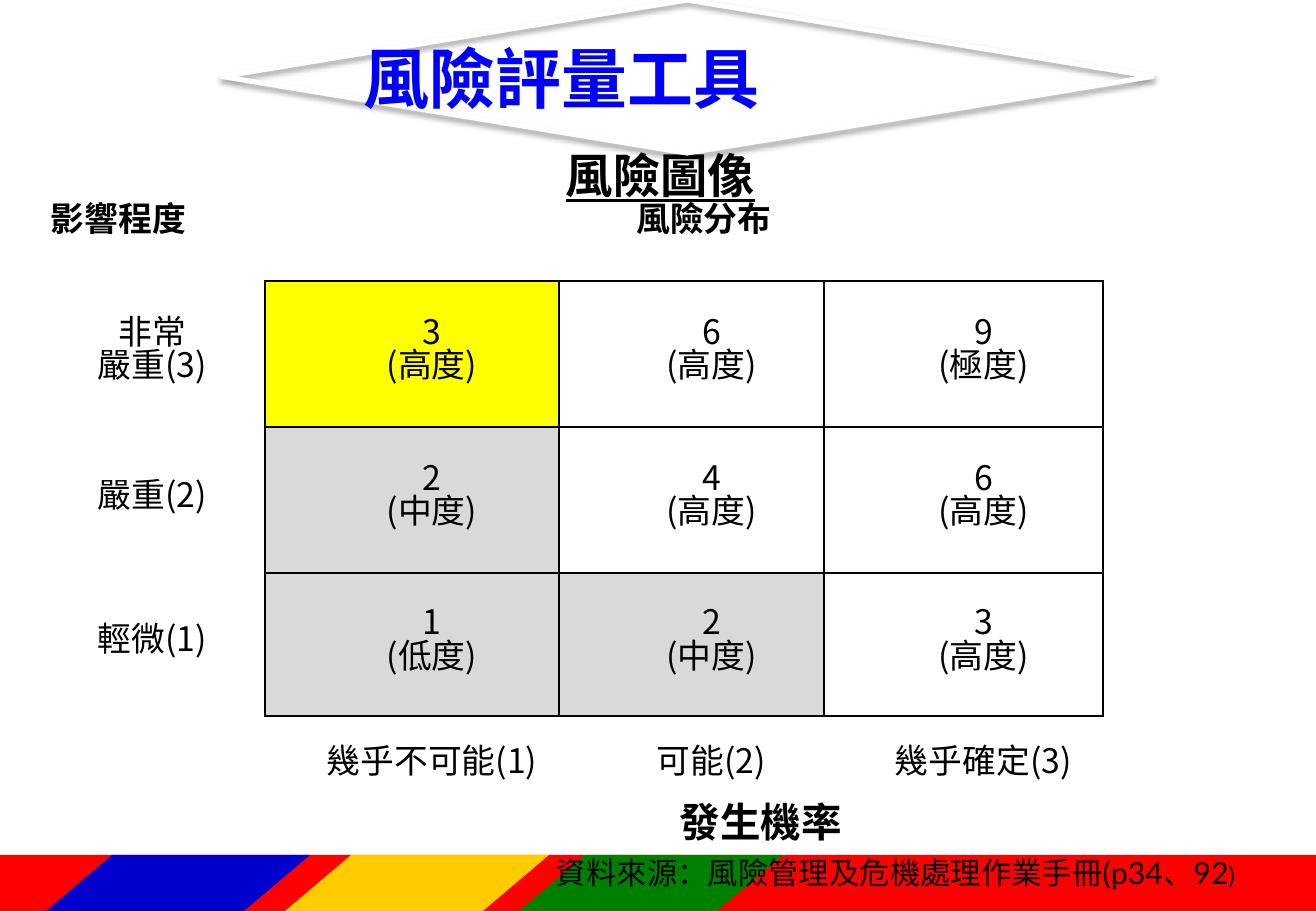
from lxml.etree import SubElement
from pptx import Presentation
from pptx.dml.color import RGBColor
from pptx.enum.shapes import MSO_SHAPE
from pptx.enum.text import MSO_ANCHOR, MSO_AUTO_SIZE, PP_ALIGN
from pptx.oxml.ns import qn
from pptx.util import Pt

SCALE = 914400 / 121.5
CJK = "Noto Sans CJK SC"
LATIN = "Lato"
PLAIN = "{2D5ABB26-0587-4C30-8999-92F81FD0307C}"
COLORS = {
    "black": "000000", "white": "FFFFFF", "title": "0000FF", "red": "FF0000",
    "gold": "FFCC00", "green": "008000", "blue": "0000CC",
    "yellow": "FFFF00", "gray": "D9D9D9",
}
COLS = [265, 294, 265, 279]
ROWS = [74, 146, 146, 143, 146]
IMPACT = [["非常", "嚴重(3)"], ["嚴重(2)"], ["輕微(1)"]]
CHANCE = ["幾乎不可能(1)", "可能(2)", "幾乎確定(3)"]
RISKS = [
    [("3", "高度", "yellow"), ("6", "高度", None), ("9", "極度", None)],
    [("2", "中度", "gray"), ("4", "高度", None), ("6", "高度", None)],
    [("1", "低度", "gray"), ("2", "中度", "gray"), ("3", "高度", None)],
]


def px(n):
    return round(n * SCALE)


def rgb(name):
    return RGBColor.from_string(COLORS[name])


def write(frame, lines, size=20, color="black", bold=False, line=False,
          align=PP_ALIGN.LEFT, space=None, indent=0):
    """Fill a text frame; each line is a string or a list of (text, font, size)."""
    for i, parts in enumerate(lines):
        para = frame.paragraphs[0] if i == 0 else frame.add_paragraph()
        para.alignment = align
        if space:
            para.line_spacing = space
        if indent:
            props = para._p.get_or_add_pPr()
            props.set("marL", str(px(indent)))
            props.set("indent", "0")
        if isinstance(parts, str):
            parts = [(parts, CJK, size)]
        for text, face, points in parts:
            run = para.add_run()
            run.text = text
            font = run.font
            font.name, font.size = face, Pt(points)
            font.bold, font.underline = bold, line
            font.color.rgb = rgb(color)
            SubElement(run._r.get_or_add_rPr(), qn("a:ea"), typeface=face)


def add_text(slide, box, lines, wrap=True, right=12, **style):
    frame = slide.shapes.add_textbox(*map(px, box)).text_frame
    frame.word_wrap = wrap
    frame.margin_right = px(right)
    write(frame, lines, **style)


def add_band(slide, kind, left, width, color):
    shape = slide.shapes.add_shape(kind, px(left), px(855), px(width), px(56))
    shape.shadow.inherit = False
    shape.fill.solid()
    shape.fill.fore_color.rgb = rgb(color)
    shape.line.fill.background()
    return shape


def add_footer(slide):
    add_band(slide, MSO_SHAPE.RECTANGLE, -2, 1318, "red")
    for left, color in ((285, "gold"), (519, "green"), (46, "blue")):
        band = add_band(slide, MSO_SHAPE.PARALLELOGRAM, left, 264, color)
        band.adjustments[0] = 1.18


def add_title(slide):
    frame = slide.shapes.add_shape(
        MSO_SHAPE.FLOWCHART_DECISION, px(222), 0, px(930), px(153))
    frame.fill.background()
    frame.line.color.rgb = rgb("white")
    frame.line.width = Pt(3)
    frame.shadow.inherit = False
    effects = frame._element.spPr.find(qn("a:effectLst"))
    shade = SubElement(effects, qn("a:outerShdw"), blurRad=str(Pt(3.1)),
                       dist=str(Pt(1.6)), dir="5400000", rotWithShape="0")
    tint = SubElement(shade, qn("a:srgbClr"), val=COLORS["black"])
    SubElement(tint, qn("a:alpha"), val="38000")

    title = slide.shapes.title
    title.left, title.top, title.width, title.height = map(
        px, (271, 10, 723, 144))
    slide.shapes._spTree.append(title._element)
    body = title.text_frame
    body.auto_size = MSO_AUTO_SIZE.NONE
    body.vertical_anchor = MSO_ANCHOR.MIDDLE
    body.margin_left = px(93)
    body.margin_top = body.margin_right = body.margin_bottom = px(19)
    write(body, ["風險評量工具"], size=39, color="title", bold=True, space=0.9)


def set_cell(cell, lines, top=0, anchor=MSO_ANCHOR.TOP, fill=None, grid=False,
             align=PP_ALIGN.CENTER, bold=False):
    cell.margin_left = cell.margin_right = px(11)
    cell.margin_top, cell.margin_bottom = px(top), 0
    cell.vertical_anchor = anchor
    if grid:
        for side in ("lnL", "lnR", "lnT", "lnB"):
            edge = SubElement(cell._tc.get_or_add_tcPr(), qn("a:" + side),
                              w=str(Pt(1)))
            paint = SubElement(edge, qn("a:solidFill"))
            SubElement(paint, qn("a:srgbClr"), val=COLORS["black"])
    if fill:
        cell.fill.solid()
        cell.fill.fore_color.rgb = rgb(fill)
    else:
        cell.fill.background()
    write(cell.text_frame, lines, align=align, bold=bold, space=Pt(20),
          indent=40)


def add_matrix(slide):
    table = slide.shapes.add_table(
        len(ROWS), len(COLS), 0, px(207), px(sum(COLS)), px(sum(ROWS))).table
    table._tbl.tblPr.find(qn("a:tableStyleId")).text = PLAIN
    table.first_row = table.horz_banding = False
    for col, width in zip(table.columns, COLS):
        col.width = px(width)
    for row, height in zip(table.rows, ROWS):
        row.height = px(height)

    table.cell(0, 1).merge(table.cell(0, 3))
    set_cell(table.cell(0, 0), ["影響程度"], align=PP_ALIGN.LEFT, bold=True)
    set_cell(table.cell(0, 1), ["風險分布"], bold=True)
    for r, (label, risks) in enumerate(zip(IMPACT, RISKS), 1):
        set_cell(table.cell(r, 0), label, anchor=MSO_ANCHOR.MIDDLE)
        for c, (score, level, fill) in enumerate(risks, 1):
            set_cell(table.cell(r, c), [score, f"({level})"], fill=fill,
                     anchor=MSO_ANCHOR.MIDDLE, grid=True)
    for c, label in enumerate(CHANCE, 1):
        set_cell(table.cell(4, c), [label], top=34)


def main():
    deck = Presentation()
    deck.slide_width, deck.slide_height = px(1316), px(911)
    slide = deck.slides.add_slide(deck.slide_layouts[5])
    add_footer(slide)
    add_matrix(slide)
    add_text(slide, (668, 791, 232, 46), ["發生機率"], size=24, bold=True)
    add_text(slide, (554, 140, 215, 69), ["風險圖像"], wrap=False, size=28,
             bold=True, line=True)
    source = [("資料來源：風險管理及危機處理作業手冊", CJK, 18),
              ("(p34", LATIN, 18), ("、", CJK, 18), ("92", LATIN, 18),
              (")", LATIN, 14)]
    add_text(slide, (492, 848, 762, 49), [source], right=19,
             align=PP_ALIGN.RIGHT)
    add_title(slide)
    deck.save("out.pptx")


if __name__ == "__main__":
    main()
